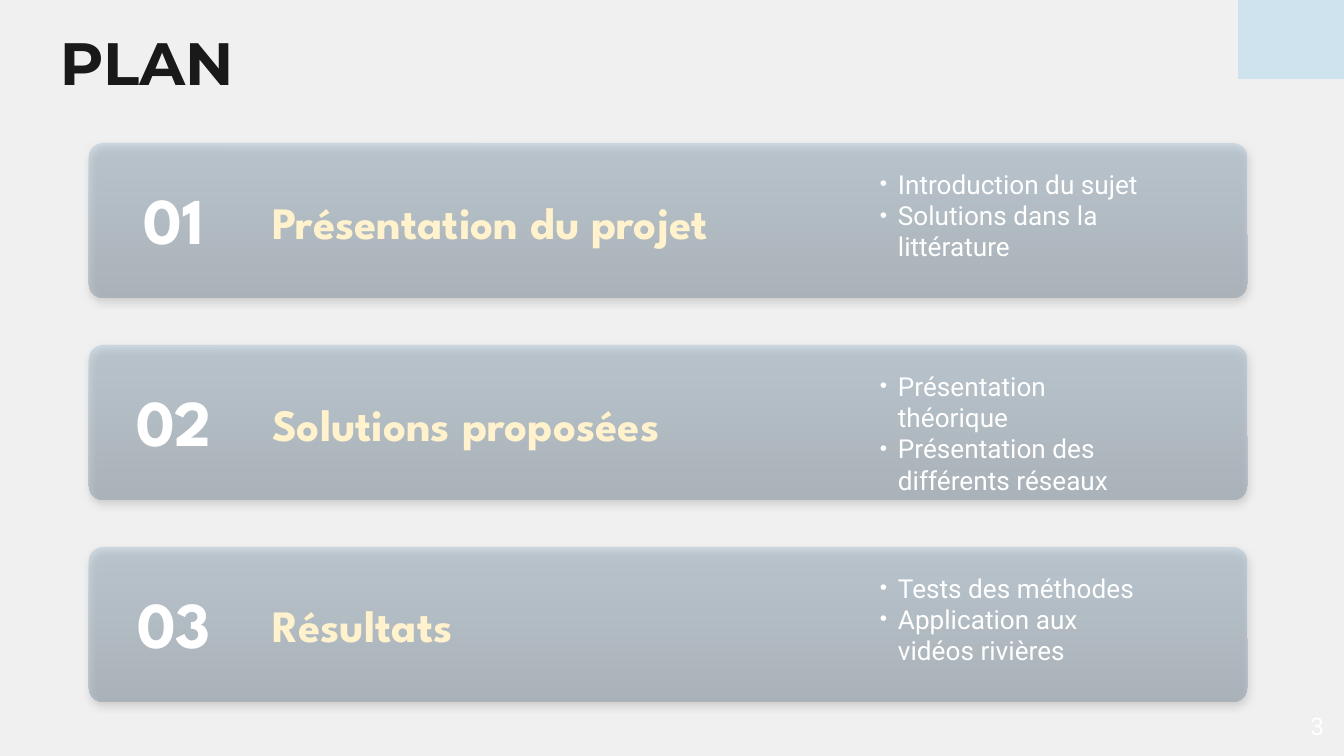
from lxml import etree
from pptx import Presentation
from pptx.dml.color import RGBColor
from pptx.enum.shapes import MSO_SHAPE
from pptx.enum.text import MSO_ANCHOR, PP_ALIGN
from pptx.oxml.ns import qn
from pptx.util import Emu, Pt

RECT, ROUND = MSO_SHAPE.RECTANGLE, MSO_SHAPE.ROUNDED_RECTANGLE
TOP, MIDDLE, BOTTOM = MSO_ANCHOR.TOP, MSO_ANCHOR.MIDDLE, MSO_ANCHOR.BOTTOM
LEFT, CENTER, RIGHT = PP_ALIGN.LEFT, PP_ALIGN.CENTER, PP_ALIGN.RIGHT

PX = 914400 / 134.4
BACKGROUND = RGBColor(0xF0, 0xF0, 0xF0)
SKY = RGBColor(0x5F, 0xBB, 0xE4)
CARD_TOP = RGBColor(0x74, 0x9E, 0xC0)
CARD_BOTTOM = RGBColor(0x3D, 0x5C, 0x75)
INK = RGBColor(0x19, 0x19, 0x19)
CREAM = RGBColor(0xFF, 0xF2, 0xCC)
WHITE = RGBColor(0xFF, 0xFF, 0xFF)

TITLE = {"name": "Montserrat", "size": Pt(32), "bold": True}
NUMBER = {"name": "League Spartan", "size": Pt(35), "bold": True}
HEADING = {"name": "League Spartan", "size": Pt(24), "bold": True}
BODY = {"name": "Roboto", "size": Pt(14), "bold": False}
PAGE = {"name": "Roboto", "size": Pt(13), "bold": False}

CARD_LEFT, CARD_Y, CARD_W, CARD_H, PITCH = 89, 143, 1158, 155, 202
INSET, BULLET_INDENT = 13, 18
CARDS = [
    ("01", "Présentation du projet",
     ["Introduction du sujet", "Solutions dans la littérature"]),
    ("02", "Solutions proposées",
     ["Présentation théorique", "Présentation des différents réseaux"]),
    ("03", "Résultats",
     ["Tests des méthodes", "Application aux vidéos rivières"]),
]


def px(*lengths):
    return [Emu(round(n * PX)) for n in lengths]


def add_text(box, lines, style, color, anchor=TOP, align=LEFT, bullets=False):
    tf = s.shapes.add_textbox(*px(*box)).text_frame
    tf.word_wrap = True
    tf.vertical_anchor = anchor
    for side in ("left", "top", "right", "bottom"):
        setattr(tf, f"margin_{side}", px(INSET)[0])
    for i, line in enumerate(lines):
        p = tf.add_paragraph() if i else tf.paragraphs[0]
        p.alignment = align
        if bullets:
            pPr = p._p.get_or_add_pPr()
            indent = px(BULLET_INDENT)[0]
            pPr.set("marL", str(indent))
            pPr.set("indent", str(-indent))
            etree.SubElement(pPr, qn("a:buSzPct"), val="79000")
            etree.SubElement(pPr, qn("a:buFont"), typeface="Arial")
            etree.SubElement(pPr, qn("a:buChar"), char="•")
        r = p.add_run()
        r.text = line
        for key, value in style.items():
            setattr(r.font, key, value)
        r.font.color.rgb = color


prs = Presentation()
prs.slide_width, prs.slide_height = px(1344, 756)
s = prs.slides.add_slide(prs.slide_layouts[6])
s.background.fill.solid()
s.background.fill.fore_color.rgb = BACKGROUND

corner = s.shapes.add_shape(RECT, *px(1238, 0, 106, 79))
corner.shadow.inherit = False
corner.line.fill.background()
corner.fill.solid()
corner.fill.fore_color.rgb = SKY
for clr in corner._element.spPr.iter(qn("a:srgbClr")):
    etree.SubElement(clr, qn("a:alpha"), val="23000")

add_text((47, 13, 1133, 85), ["PLAN"], TITLE, INK)

for i, (number, heading, topics) in enumerate(CARDS):
    y = CARD_Y + i * PITCH
    card = s.shapes.add_shape(ROUND, *px(CARD_LEFT, y, CARD_W, CARD_H))
    card.adjustments[0] = 0.09
    card.line.fill.background()
    card.fill.gradient()
    card.fill.gradient_angle = 270
    for stop, color in zip(card.fill.gradient_stops, (CARD_TOP, CARD_BOTTOM)):
        stop.color.rgb = color
    spPr = card._element.spPr
    for clr in spPr.iter(qn("a:srgbClr")):
        etree.SubElement(clr, qn("a:alpha"), val="25000")

    card.shadow.inherit = False
    shadow = etree.SubElement(
        spPr.find(qn("a:effectLst")), qn("a:outerShdw"), blurRad=str(Pt(4.5)),
        dist=str(Pt(1.5)), dir="5400000", algn="bl", rotWithShape="0")
    clr = etree.SubElement(shadow, qn("a:srgbClr"), val="000000")
    etree.SubElement(clr, qn("a:alpha"), val="50000")

    add_text((259, y + 43, 577, 75), [heading], HEADING, CREAM, BOTTOM)
    add_text((867, y + 12, 298, 212), topics, BODY, WHITE, bullets=True)
    add_text((98, y + 23, 152, 105), [number], NUMBER, WHITE, MIDDLE, CENTER)

add_text((1257, 697, 80, 58), ["3"], PAGE, WHITE, MIDDLE, RIGHT)

prs.save("out.pptx")
